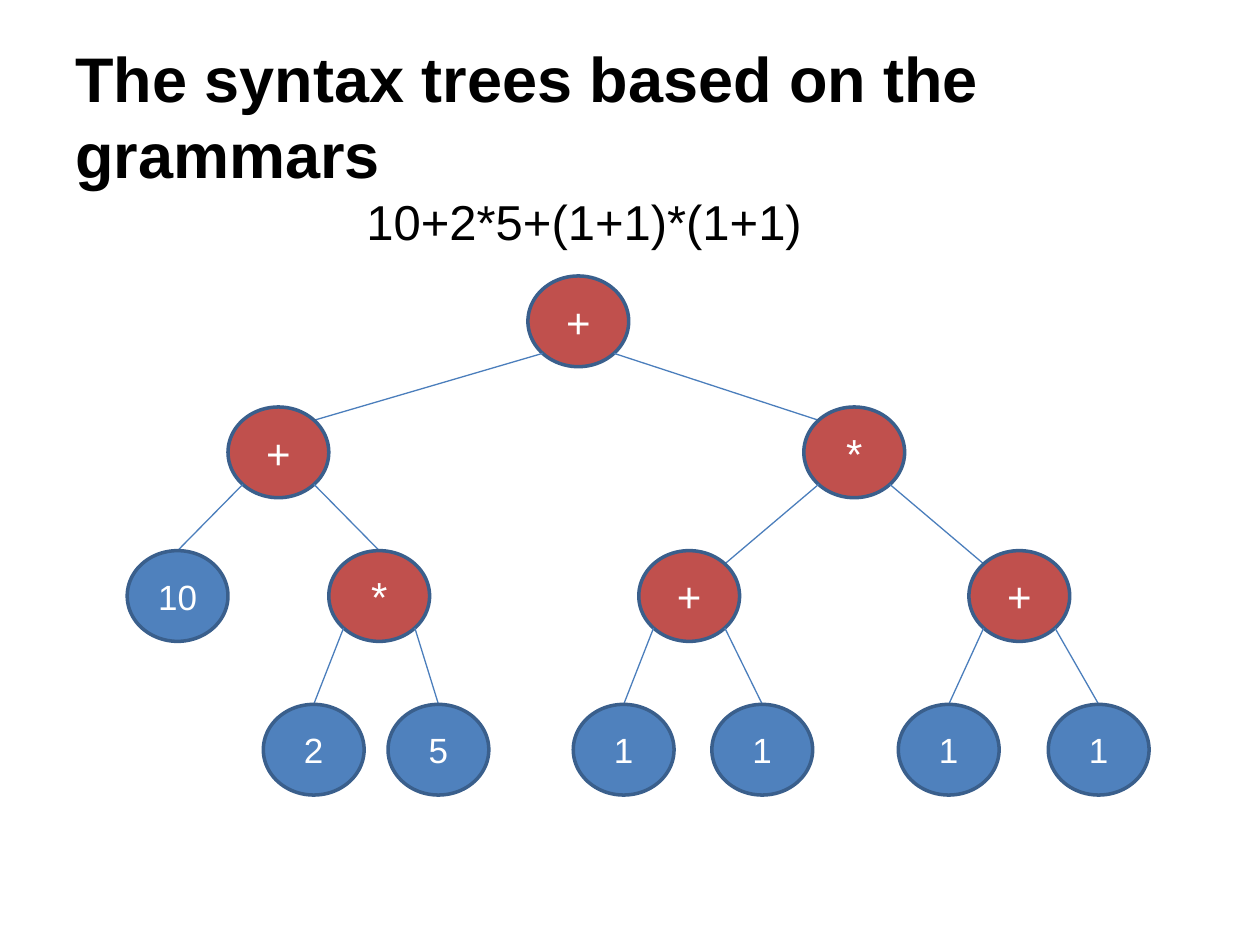
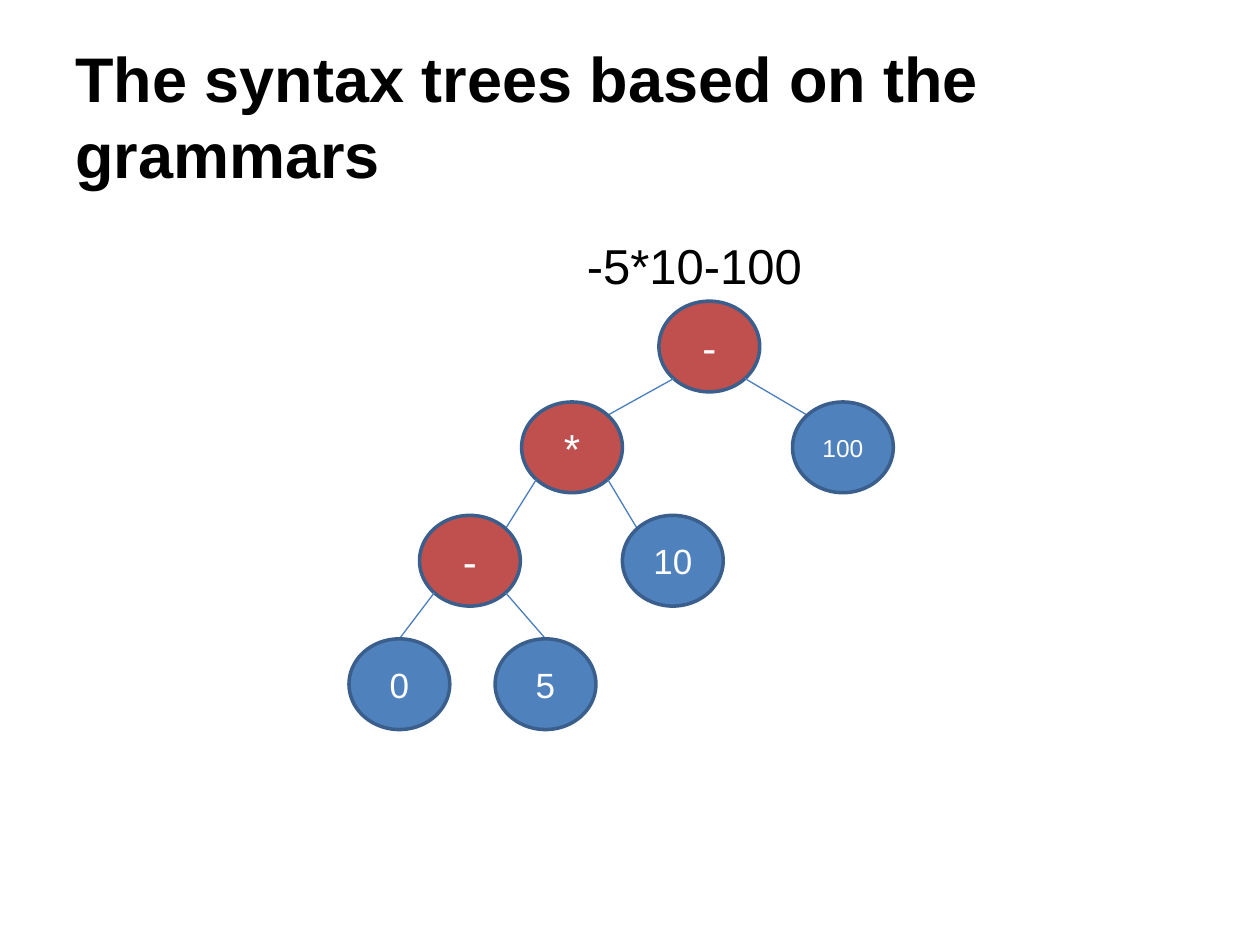
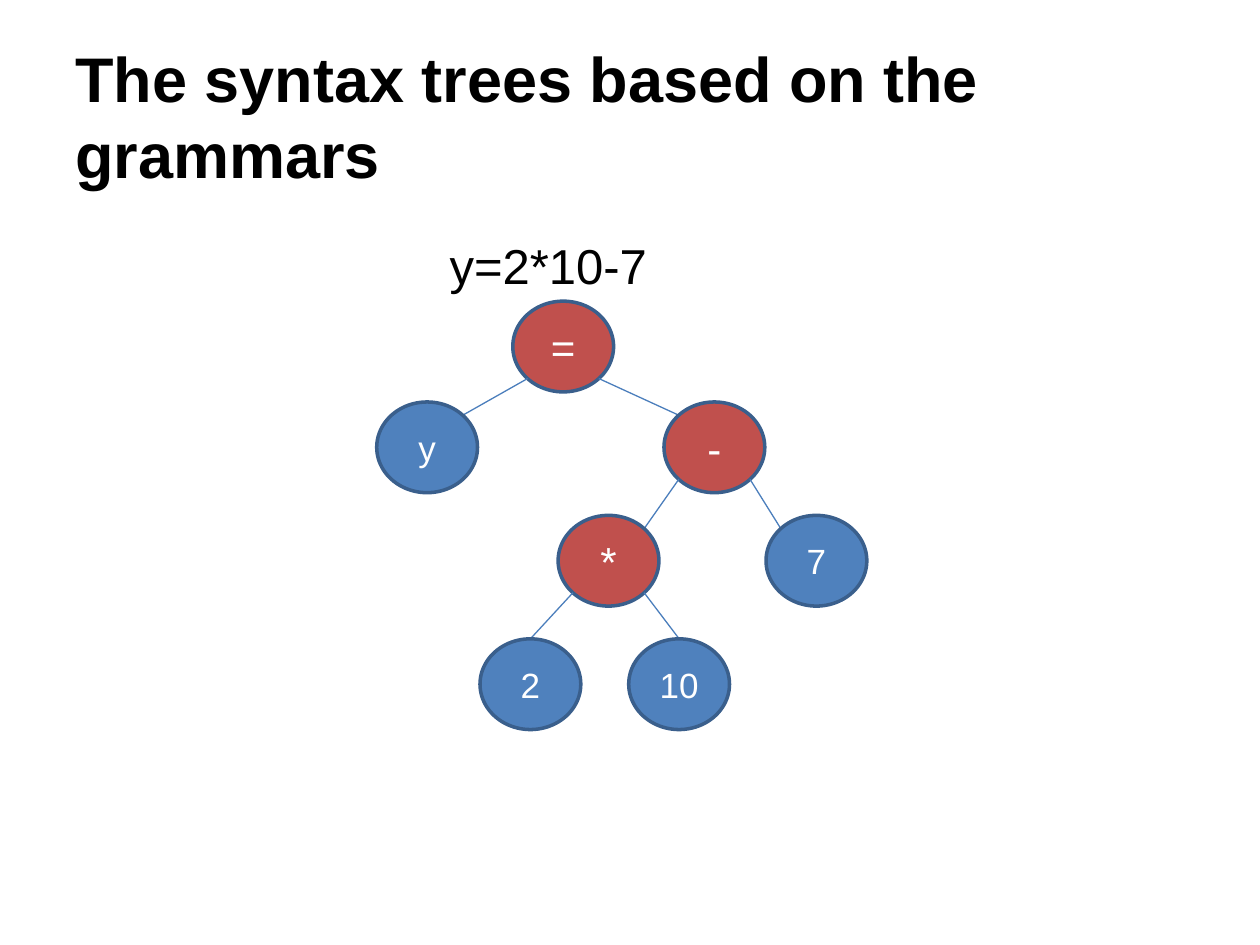
from dataclasses import dataclass
from typing import Optional

from pptx import Presentation
from pptx.dml.color import RGBColor
from pptx.enum.shapes import MSO_CONNECTOR, MSO_SHAPE
from pptx.enum.text import MSO_ANCHOR, MSO_AUTO_SIZE, PP_ALIGN
from pptx.oxml.ns import qn
from pptx.slide import Slide
from pptx.text.text import TextFrame
from pptx.util import Emu, Pt
from lxml import etree

# Shared measures: 100 px to the inch
EMU_PER_PX = 9144
SLIDE_SIZE = (1000, 750)
TITLE_BOX = (50, 29, 908, 125)
EXPRESSION_HEIGHT = 57
NODE_WIDTH, NODE_HEIGHT = 80, 72
CORNER = (1 - 0.5 ** 0.5) / 2  # inset of an ellipse's diagonal points
STEEP = 0.8  # edges with less sideways run than this end at the child's top

# Shared style
TITLE = "The syntax trees based on the grammars"
FONT = "Arial"
BLACK = RGBColor(0x00, 0x00, 0x00)
WHITE = RGBColor(0xFF, 0xFF, 0xFF)
OPERATOR_FILL = RGBColor(0xC0, 0x50, 0x4D)
OPERAND_FILL = RGBColor(0x4F, 0x81, 0xBD)
NODE_LINE = RGBColor(0x3A, 0x5F, 0x8C)
EDGE_LINE = RGBColor(0x4B, 0x7E, 0xBC)

ELLIPSE = MSO_SHAPE.OVAL
STRAIGHT = MSO_CONNECTOR.STRAIGHT
TOP, MIDDLE = MSO_ANCHOR.TOP, MSO_ANCHOR.MIDDLE
LEFT, CENTER = PP_ALIGN.LEFT, PP_ALIGN.CENTER
FIT_SHAPE = MSO_AUTO_SIZE.SHAPE_TO_FIT_TEXT


@dataclass(frozen=True)
class Node:
    label: str
    x: int
    first: Optional["Node"] = None
    second: Optional["Node"] = None


@dataclass(frozen=True)
class SyntaxTree:
    expression: str
    expression_box: tuple[int, int, int]  # left, top, width
    levels: tuple[int, ...]  # top of each row of nodes
    root: Node


# Content
LOW_LEVELS = (239, 319, 409, 507)
TREES = (
    SyntaxTree(
        "10+2*5+(1+1)*(1+1)", (281, 147, 370), (219, 323, 437, 559),
        Node("+", 419,
             Node("+", 181,
                  Node("10", 101),
                  Node("*", 261, Node("2", 209), Node("5", 308))),
             Node("*", 638,
                  Node("+", 507, Node("1", 455), Node("1", 565)),
                  Node("+", 769, Node("1", 713), Node("1", 832))))),
    SyntaxTree(
        "-5*10-100", (456, 182, 193), LOW_LEVELS,
        Node("-", 523,
             Node("*", 414,
                  Node("-", 333, Node("0", 277), Node("5", 393)),
                  Node("10", 494)),
             Node("100", 629))),
    SyntaxTree(
        "y=2*10-7", (347, 182, 179), LOW_LEVELS,
        Node("=", 407,
             Node("y", 299),
             Node("-", 527,
                  Node("*", 443, Node("2", 381), Node("10", 499)),
                  Node("7", 608)))),
)


def px(length: float) -> Emu:
    return Emu(round(length * EMU_PER_PX))


def write_text(frame: TextFrame, text: str, *, size: int, color: RGBColor = BLACK,
               bold: bool = False, align: PP_ALIGN = LEFT,
               anchor: MSO_ANCHOR = TOP, wrap: bool = True) -> None:
    frame.word_wrap = wrap
    frame.vertical_anchor = anchor
    paragraph = frame.paragraphs[0]
    paragraph.alignment = align
    run = paragraph.add_run()
    run.text = text
    run.font.name = FONT
    run.font.size = Pt(size)
    run.font.bold = bold
    run.font.color.rgb = color


def draw_edge(slide: Slide, parent: Node, child: Node,
              parent_top: int, child_top: int) -> None:
    """Join a lower corner of the parent to the child's top or facing corner."""
    run, drop = child.x - parent.x, child_top - parent_top
    inset = CORNER * NODE_WIDTH
    left_end, right_end = inset, NODE_WIDTH - inset
    start, end = (left_end, right_end) if run < 0 else (right_end, left_end)
    end_drop = CORNER * NODE_HEIGHT
    if abs(run) < STEEP * drop:
        end, end_drop = NODE_WIDTH / 2, 0
    edge = slide.shapes.add_connector(
        STRAIGHT,
        px(parent.x + start), px(parent_top + (1 - CORNER) * NODE_HEIGHT),
        px(child.x + end), px(child_top + end_drop))
    edge.line.color.rgb = EDGE_LINE
    edge.line.width = Pt(0.75)
    etree.SubElement(edge._element.spPr, qn("a:effectLst"))


def draw_node(slide: Slide, node: Node, levels: tuple[int, ...], depth: int = 0) -> None:
    """Draw a node, then its subtrees and the edges to them."""
    children = [child for child in (node.first, node.second) if child]
    circle = slide.shapes.add_shape(
        ELLIPSE, px(node.x), px(levels[depth]), px(NODE_WIDTH), px(NODE_HEIGHT))
    circle.shadow.inherit = False
    circle.fill.solid()
    circle.fill.fore_color.rgb = OPERATOR_FILL if children else OPERAND_FILL
    circle.line.color.rgb = NODE_LINE
    circle.line.width = Pt(2)
    operand_size = 14 if len(node.label) > 2 else 20
    write_text(circle.text_frame, node.label, size=24 if children else operand_size,
               color=WHITE, align=CENTER, anchor=MIDDLE)
    for child in children:
        draw_edge(slide, node, child, levels[depth], levels[depth + 1])
        draw_node(slide, child, levels, depth + 1)


def draw_slide(slide: Slide, tree: SyntaxTree) -> None:
    title = slide.shapes.add_textbox(*map(px, TITLE_BOX))
    write_text(title.text_frame, TITLE, size=36, bold=True, anchor=MIDDLE)
    expression = slide.shapes.add_textbox(
        *map(px, (*tree.expression_box, EXPRESSION_HEIGHT)))
    write_text(expression.text_frame, tree.expression, size=28, wrap=False)
    expression.text_frame.auto_size = FIT_SHAPE
    draw_node(slide, tree.root, tree.levels)


def main() -> None:
    deck = Presentation()
    deck.slide_width, deck.slide_height = map(px, SLIDE_SIZE)
    blank = deck.slide_layouts[6]
    for tree in TREES:
        draw_slide(deck.slides.add_slide(blank), tree)
    deck.save("out.pptx")


if __name__ == "__main__":
    main()
